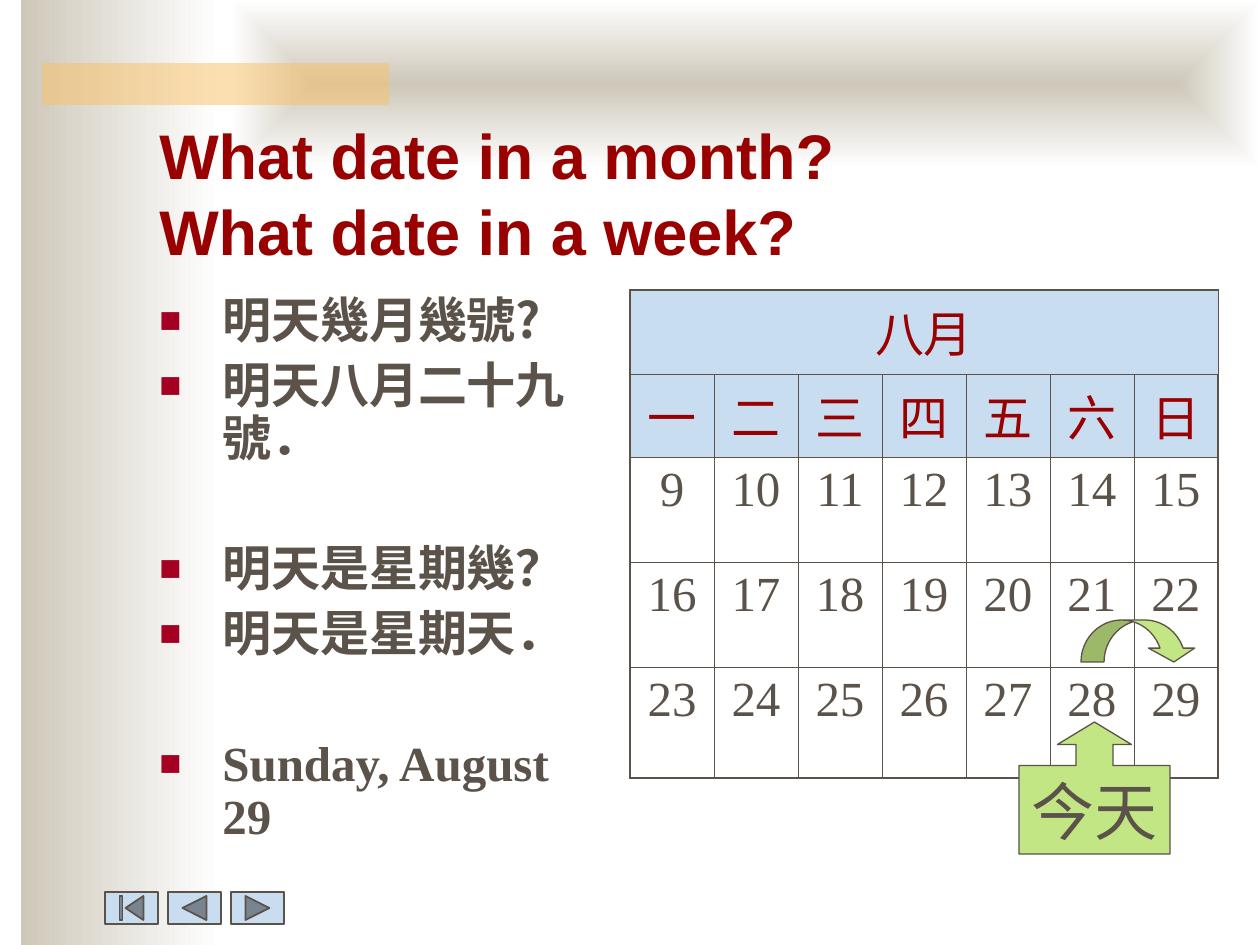
import pptx
import pptx.util
import pptx.dml.color
import pptx.enum.shapes
import pptx.enum.text
import pptx.oxml
import pptx.oxml.ns

SCALE = 9144000 / 1260
SHAPES = pptx.enum.shapes.MSO_SHAPE
ALIGN = pptx.enum.text.PP_ALIGN
ANCHOR = pptx.enum.text.MSO_ANCHOR
INK, RED, BULLET = "5B5249", "990000", "A50021"
BLUE, GREEN, SAND, GOLD = "C9DDF1", "C3E684", "CEC8BA", "FAC164"
SERIF, SANS, CHINESE = "Times New Roman", "Arial", "Noto Sans CJK TC"

TITLE = "What date in a month?\vWhat date in a week?"
DIALOGUE = [
    ("明天幾月幾號?", CHINESE, 7),
    ("明天八月二十九號．", CHINESE, 7),
    ("明天是星期幾？", CHINESE, 44),
    ("明天是星期天．", CHINESE, 7),
    ("Sunday, August 29", SERIF, 44),
]
MONTH = "八月"
WEEKDAYS = list("一二三四五六日")
FIRST_DATES = [9, 16, 23]
ROW_HEIGHTS = [84, 83, 105, 105, 111]
COLUMN_WIDTH = 84
BUTTONS = [SHAPES.ACTION_BUTTON_BEGINNING, SHAPES.ACTION_BUTTON_BACK_OR_PREVIOUS,
           SHAPES.ACTION_BUTTON_FORWARD_OR_NEXT]


def px(value):
    return pptx.util.Emu(round(value * SCALE))


def color(value):
    return pptx.dml.color.RGBColor.from_string(value)


def xml(tag, content="", attributes=""):
    namespace = pptx.oxml.ns.nsdecls("a")
    return pptx.oxml.parse_xml(f"<a:{tag} {namespace} {attributes}>{content}</a:{tag}>")


def solid(value):
    return f'<a:solidFill><a:srgbClr val="{value}"/></a:solidFill>'


def add_shape(slide, kind, box, fill, line_width=0, adjustments=()):
    shape = slide.shapes.add_shape(kind, *map(px, box))
    shape.shadow.inherit = False
    shape.fill.solid()
    shape.fill.fore_color.rgb = color(fill)
    if line_width:
        shape.line.color.rgb = color(INK)
        shape.line.width = pptx.util.Pt(line_width)
    else:
        shape.line.fill.background()
    for index, value in enumerate(adjustments):
        shape.adjustments[index] = value
    return shape


def set_gradient(shape, direction):
    old = shape._element.spPr.find(pptx.oxml.ns.qn("a:solidFill"))
    stops = (f'<a:gsLst><a:gs pos="0"><a:srgbClr val="{SAND}"/></a:gs>'
             '<a:gs pos="100000"><a:srgbClr val="FFFFFF"/></a:gs></a:gsLst>')
    old.getparent().replace(old, xml("gradFill", stops + direction, 'rotWithShape="1"'))


def set_font(paragraph, name, size, value, bold=False):
    font = paragraph.font
    font.name, font.size, font.bold = name, pptx.util.Pt(size), bold
    font.color.rgb = color(value)


def add_text_box(slide, box, anchor):
    frame = slide.shapes.add_textbox(*map(px, box)).text_frame
    frame.word_wrap = True
    frame.vertical_anchor = anchor
    return frame


def add_background(slide):
    side = add_shape(slide, SHAPES.RECTANGLE, (21, 0, 199, 945), SAND)
    set_gradient(side, '<a:lin ang="0" scaled="0"/>')
    top = add_shape(slide, SHAPES.RECTANGLE, (231, 0, 1029, 168), SAND)
    set_gradient(top, '<a:path path="rect"><a:fillToRect l="50000" t="50000" '
                      'r="50000" b="50000"/></a:path>')
    bar = add_shape(slide, SHAPES.RECTANGLE, (42, 63, 347, 42), GOLD)
    bar_color = bar._element.spPr.find(".//" + pptx.oxml.ns.qn("a:srgbClr"))
    bar_color.append(xml("alpha", attributes='val="50000"'))
    for index, kind in enumerate(BUTTONS):
        add_shape(slide, kind, (105 + 63 * index, 892, 53, 32), BLUE, 1)


def add_title(slide):
    paragraph = add_text_box(slide, (147, 116, 1071, 158), ANCHOR.BOTTOM).paragraphs[0]
    paragraph.text = TITLE
    set_font(paragraph, SANS, 36, RED, True)


def add_dialogue(slide):
    frame = add_text_box(slide, (147, 290, 441, 567), ANCHOR.TOP)
    for index, (text, font_name, space) in enumerate(DIALOGUE):
        paragraph = frame.add_paragraph() if index else frame.paragraphs[0]
        paragraph.text = text
        paragraph.line_spacing = 0.9
        paragraph.space_before = pptx.util.Pt(space)
        set_font(paragraph, font_name, 28, INK, True)
        properties = paragraph._p.get_or_add_pPr()
        properties.set("marL", str(px(63)))
        properties.set("indent", str(px(-63)))
        bullet = [xml("buClr", f'<a:srgbClr val="{BULLET}"/>'),
                  xml("buSzPct", attributes='val="75000"'),
                  xml("buFont", attributes=f'typeface="{SANS}"'),
                  xml("buChar", attributes='char="■"')]
        for element in bullet:
            properties.insert_element_before(element, "a:tabLst", "a:defRPr")


def set_borders(cell, outer_sides):
    properties = cell._tc.get_or_add_tcPr()
    for index, side in enumerate("LRTB"):
        width = pptx.util.Pt(1.08 if side in outer_sides else 0.45)
        properties.insert(index, xml("ln" + side, solid(INK), f'w="{width}"'))


def add_calendar(slide):
    weeks = [[str(first + day) for day in range(7)] for first in FIRST_DATES]
    rows = [[MONTH] + [""] * 6, WEEKDAYS] + weeks
    last_row, last_column = len(rows) - 1, len(WEEKDAYS) - 1
    box = (630, 290, COLUMN_WIDTH * len(WEEKDAYS), sum(ROW_HEIGHTS))
    table = slide.shapes.add_table(len(rows), len(WEEKDAYS), *map(px, box)).table
    for column in table.columns:
        column.width = px(COLUMN_WIDTH)
    for row_index, values in enumerate(rows):
        table.rows[row_index].height = px(ROW_HEIGHTS[row_index])
        is_header = row_index < 2
        for column_index, text in enumerate(values):
            cell = table.cell(row_index, column_index)
            if is_header:
                cell.fill.solid()
                cell.fill.fore_color.rgb = color(BLUE)
            else:
                cell.fill.background()
            edges = {"L": column_index == 0, "R": column_index == last_column,
                     "T": row_index == 0, "B": row_index == last_row}
            set_borders(cell, [side for side in edges if edges[side]])
            paragraph = cell.text_frame.paragraphs[0]
            paragraph.text = text
            paragraph.alignment = ALIGN.CENTER
            paragraph.space_before = pptx.util.Pt(7)
            set_font(paragraph, SERIF, 28, RED if is_header else INK)
    table.cell(0, 0).merge(table.cell(0, last_column))


def add_today(slide):
    add_shape(slide, SHAPES.CURVED_DOWN_ARROW, (1081, 620, 116, 42), GREEN, 0.75,
              (0.55, 1.1, 0.33))
    callout = add_shape(slide, SHAPES.UP_ARROW_CALLOUT, (1019, 722, 151, 132), GREEN, 0.75,
                        (0.28, 0.28, 0.17, 0.67))
    frame = callout.text_frame
    frame.word_wrap = False
    frame.vertical_anchor = ANCHOR.MIDDLE
    paragraph = frame.paragraphs[0]
    paragraph.text = "今天"
    paragraph.alignment = ALIGN.CENTER
    set_font(paragraph, SERIF, 36, INK)


def main():
    presentation = pptx.Presentation()
    presentation.slide_width, presentation.slide_height = px(1260), px(945)
    slide = presentation.slides.add_slide(presentation.slide_layouts[6])
    add_background(slide)
    add_title(slide)
    add_dialogue(slide)
    add_calendar(slide)
    add_today(slide)
    presentation.save("out.pptx")


if __name__ == "__main__":
    main()
